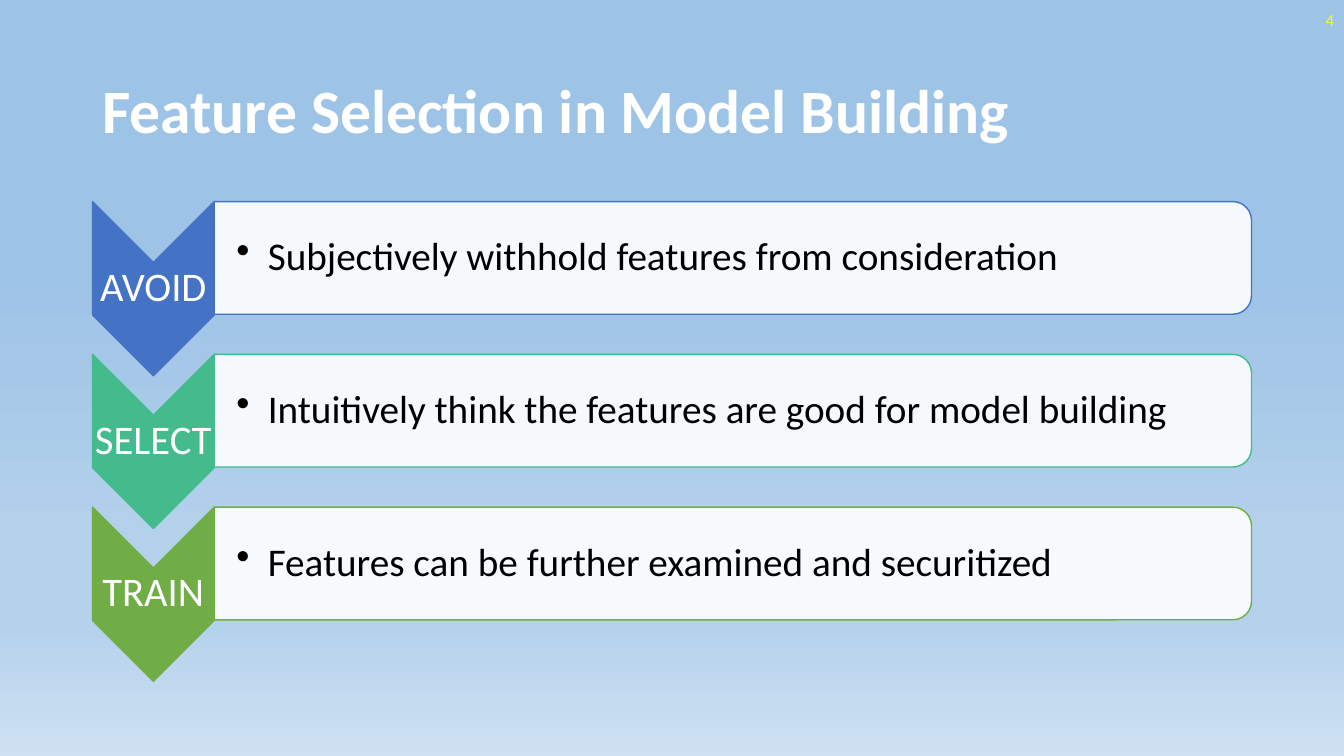
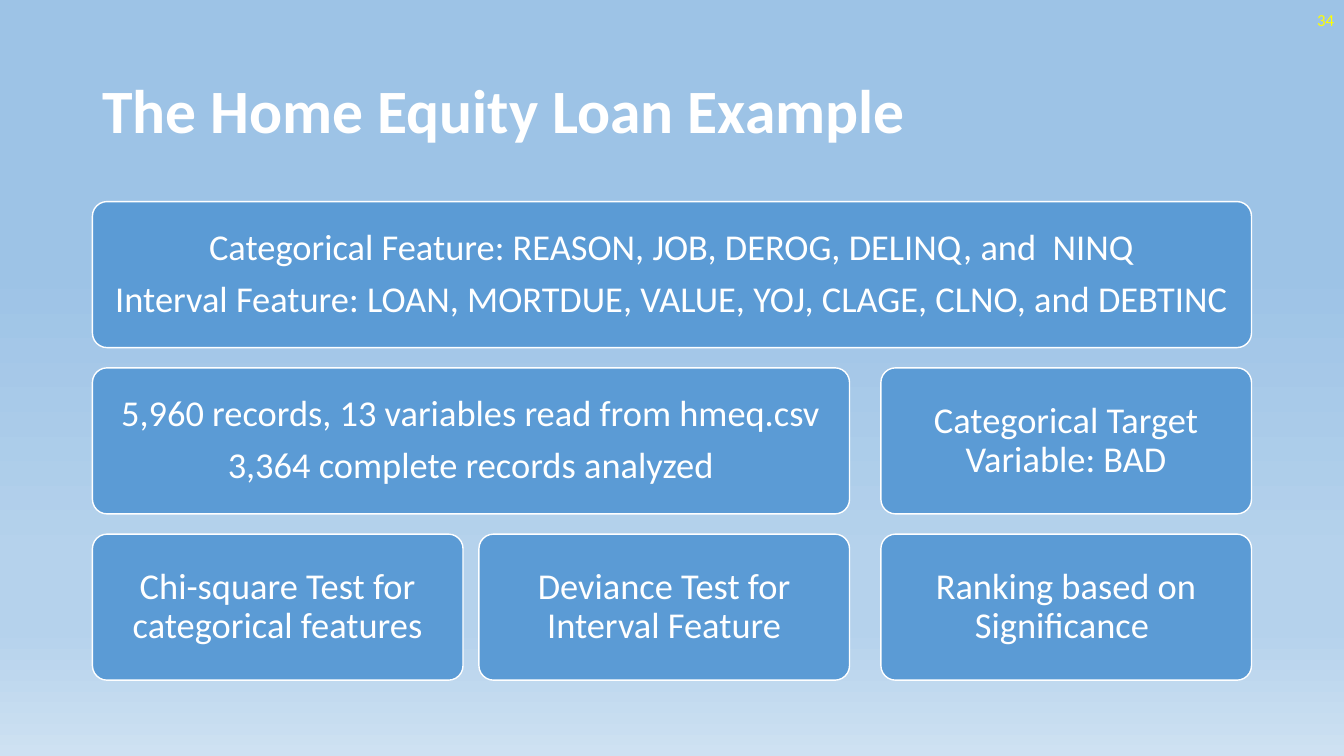
from copy import deepcopy
from dataclasses import dataclass

import pptx
import pptx.dml.color
import pptx.enum.shapes
import pptx.enum.text
import pptx.oxml
import pptx.oxml.ns
import pptx.presentation
import pptx.shapes.autoshape
import pptx.slide
import pptx.text.text
import pptx.util

Cm = pptx.util.Cm
Pt = pptx.util.Pt
qn = pptx.oxml.ns.qn
Align = pptx.enum.text.PP_ALIGN
Kind = pptx.enum.shapes.MSO_SHAPE

COLORS = {
    "white": "FFFFFF", "black": "000000", "yellow": "FFFF00",
    "blue": "4472C4", "teal": "43BB8D", "green": "70AD47", "sky": "5B9BD5",
}
BACKDROP = [(35, "9DC3E6"), (74, "B5D2EC"), (83, "B5D2EC"), (100, "CEE1F2")]
FONT = "Calibri"

# All lengths below are in centimetres.
LEFT, TOP, WIDTH = 2.33, 5.08, 29.21
STEP_PITCH = 3.85
CHEVRON_W, CHEVRON_H = 3.07, 4.39
PANEL_H = 2.84
LABEL_DROP, LABEL_H = 1.52, 1.32
CARD_W, CARD_H, CARD_GAP = 9.34, 3.68, 0.51
COLUMNS = [LEFT, 12.07, 22.2]


@dataclass
class Area:
    left: float
    top: float
    width: float
    height: float

    def cm(self) -> tuple:
        return Cm(self.left), Cm(self.top), Cm(self.width), Cm(self.height)

    def turned(self) -> "Area":
        """Frame that covers this area once rotated by a quarter turn."""
        shift = (self.width - self.height) / 2
        return Area(self.left + shift, self.top - shift, self.height, self.width)


@dataclass
class Style:
    size: float
    color: str
    align: Align = Align.LEFT
    bold: bool = False
    spacing: float = 0.9
    after: float = 0
    bullet: bool = False


@dataclass
class Step:
    label: str
    text: str
    color: str


@dataclass
class Card:
    row: int
    first: int
    last: int
    text: str


TITLE = Style(44, "white", bold=True)
NUMBER = Style(12, "yellow", Align.RIGHT, spacing=1)
LABEL = Style(29, "white", Align.CENTER)
POINT = Style(28, "black", bullet=True)
CARD = Style(26, "white", Align.CENTER, after=9.1)

STEPS = [
    Step("AVOID", "Subjectively withhold features from consideration", "blue"),
    Step("SELECT", "Intuitively think the features are good for model building", "teal"),
    Step("TRAIN", "Features can be further examined and securitized", "green"),
]
CARDS = [
    Card(0, 0, 2, "Categorical Feature: REASON, JOB, DEROG, DELINQ, and  NINQ\n"
                  "Interval Feature: LOAN, MORTDUE, VALUE, YOJ, CLAGE, CLNO, and DEBTINC"),
    Card(1, 0, 1, "5,960 records, 13 variables read from hmeq.csv\n"
                  "3,364 complete records analyzed"),
    Card(2, 0, 0, "Chi-square Test for categorical features"),
    Card(2, 1, 1, "Deviance Test for Interval Feature"),
    Card(1, 2, 2, "Categorical Target Variable: BAD"),
    Card(2, 2, 2, "Ranking based on Significance "),
]


def rgb(name: str) -> pptx.dml.color.RGBColor:
    return pptx.dml.color.RGBColor.from_string(COLORS[name])


def set_bullet(para: pptx.text.text._Paragraph) -> None:
    props = para._p.get_or_add_pPr()
    props.set("marL", str(Cm(0.79)))
    props.set("indent", str(-Cm(0.79)))
    props.append(props.makeelement(qn("a:buChar"), {"char": "•"}))


def write(frame: pptx.text.text.TextFrame, text: str, style: Style,
          margins: tuple[float, float, float, float]) -> None:
    """Fill a text frame; margins run left, top, right, bottom."""
    frame.text = text
    frame.word_wrap = True
    frame.auto_size = pptx.enum.text.MSO_AUTO_SIZE.NONE
    frame.vertical_anchor = pptx.enum.text.MSO_ANCHOR.MIDDLE
    (frame.margin_left, frame.margin_top,
     frame.margin_right, frame.margin_bottom) = map(Cm, margins)
    for para in frame.paragraphs:
        if style.bullet:
            set_bullet(para)
        para.alignment = style.align
        para.line_spacing = style.spacing
        para.space_before = Pt(0)
        para.space_after = Pt(style.after)
        for run in para.runs:
            font = run.font
            font.name, font.size, font.bold = FONT, Pt(style.size), style.bold
            font.color.rgb = rgb(style.color)


def add_text(slide: pptx.slide.Slide, area: Area, text: str, style: Style,
             margins: tuple[float, float, float, float]) -> None:
    write(slide.shapes.add_textbox(*area.cm()).text_frame, text, style, margins)


def add_form(slide: pptx.slide.Slide, kind: Kind, area: Area, fill: str,
             line: str) -> pptx.shapes.autoshape.Shape:
    form = slide.shapes.add_shape(kind, *area.cm())
    form.shadow.inherit = False
    form.fill.solid()
    form.fill.fore_color.rgb = rgb(fill)
    form.line.color.rgb = rgb(line)
    form.line.width = Pt(1)
    return form


def set_alpha(form: pptx.shapes.autoshape.Shape, percent: int) -> None:
    color = form._element.spPr.find(qn("a:solidFill"))[0]
    color.append(color.makeelement(qn("a:alpha"), {"val": str(percent * 1000)}))


def set_theme(deck: pptx.presentation.Presentation) -> pptx.slide.SlideLayout:
    """Give the master its gradient and the layout its title place."""
    master = deck.slide_master
    fill = master.background.fill
    fill.gradient()
    fill.gradient_angle = 270
    stops = next(master.element.iter(qn("a:gsLst")))
    model = deepcopy(stops[0])
    for stop in list(stops):
        stops.remove(stop)
    for place, color in BACKDROP:
        stop = deepcopy(model)
        stop.set("pos", str(place * 1000))
        for child in list(stop):
            stop.remove(child)
        stop.append(stop.makeelement(qn("a:srgbClr"), {"val": color}))
        stops.append(stop)
    layout = deck.slide_layouts.get_by_name("Title Only")
    title = next(p for p in layout.placeholders if p.placeholder_format.idx == 0)
    title.left, title.top, title.width, title.height = Area(LEFT, 1.01, WIDTH, 3.68).cm()
    return layout


def add_slide(deck: pptx.presentation.Presentation, layout: pptx.slide.SlideLayout,
              title: str, number: int) -> pptx.slide.Slide:
    slide = deck.slides.add_slide(layout)
    inset = (0.25, 0.13, 0.25, 0.13)
    write(slide.shapes.title.text_frame, title, TITLE, inset)
    add_text(slide, Area(26.25, 0, 7.62, 1.02), str(number), NUMBER, inset)
    return slide


def add_step(slide: pptx.slide.Slide, index: int, step: Step) -> None:
    top = TOP + index * STEP_PITCH
    arrow = Area(LEFT, top, CHEVRON_W, CHEVRON_H)
    panel = Area(LEFT + CHEVRON_W, top, WIDTH - CHEVRON_W, PANEL_H)
    add_form(slide, Kind.CHEVRON, arrow.turned(), step.color, step.color).rotation = 90
    label = Area(LEFT, top + LABEL_DROP, CHEVRON_W, LABEL_H)
    add_text(slide, label, step.label, LABEL, (0.05,) * 4)
    form = add_form(slide, Kind.ROUND_2_SAME_RECTANGLE, panel.turned(), "white", step.color)
    form.rotation = 90
    set_alpha(form, 90)
    add_text(slide, panel, step.text, POINT, (0.56, 0.05, 0.05, 0.05))


def add_card(slide: pptx.slide.Slide, card: Card) -> None:
    left = COLUMNS[card.first]
    width = COLUMNS[card.last] + CARD_W - left
    area = Area(left, TOP + card.row * (CARD_H + CARD_GAP), width, CARD_H)
    form = add_form(slide, Kind.ROUNDED_RECTANGLE, area, "sky", "white")
    form.adjustments[0] = 0.1
    write(form.text_frame, card.text, CARD, (0.28,) * 4)


def main() -> None:
    deck = pptx.Presentation()
    deck.slide_width, deck.slide_height = Cm(33.87), Cm(19.05)
    layout = set_theme(deck)

    slide = add_slide(deck, layout, "Feature Selection in Model Building", 4)
    for index, step in enumerate(STEPS):
        add_step(slide, index, step)

    slide = add_slide(deck, layout, "The Home Equity Loan Example", 34)
    for card in CARDS:
        add_card(slide, card)

    deck.save("out.pptx")


if __name__ == "__main__":
    main()
